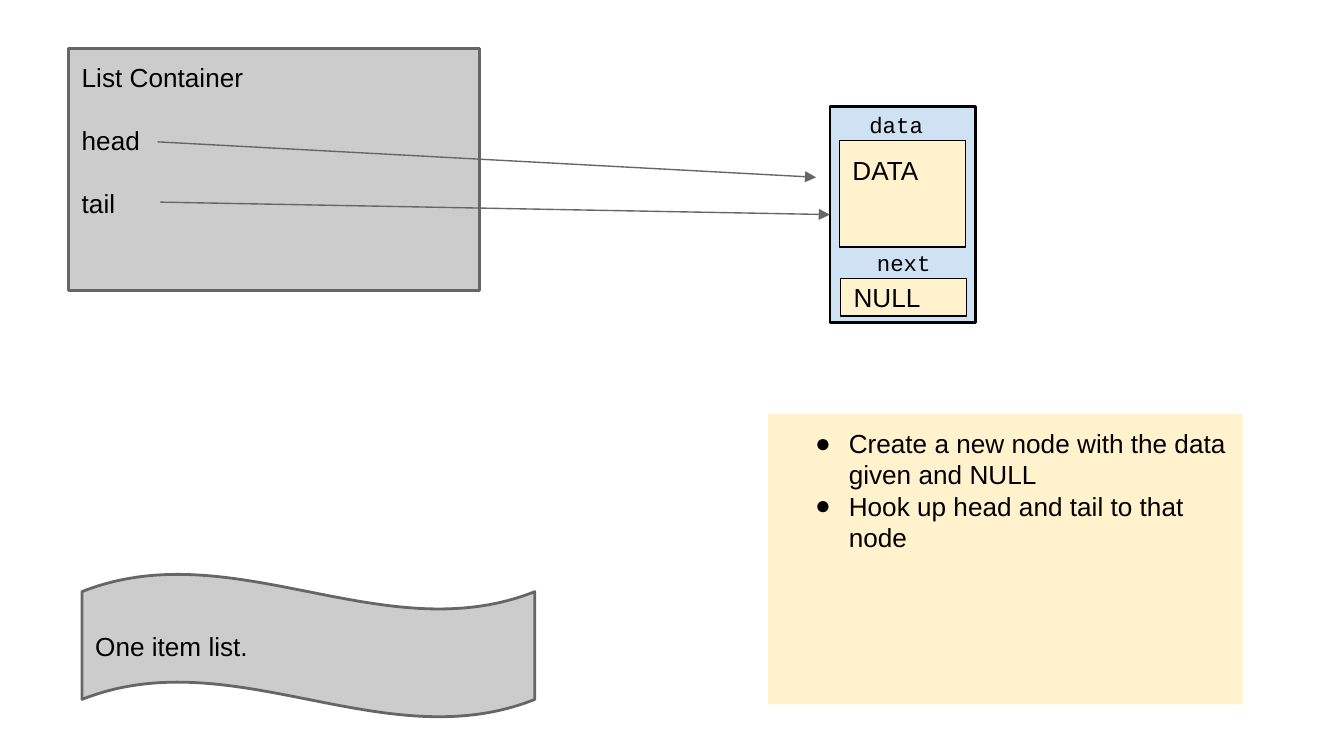
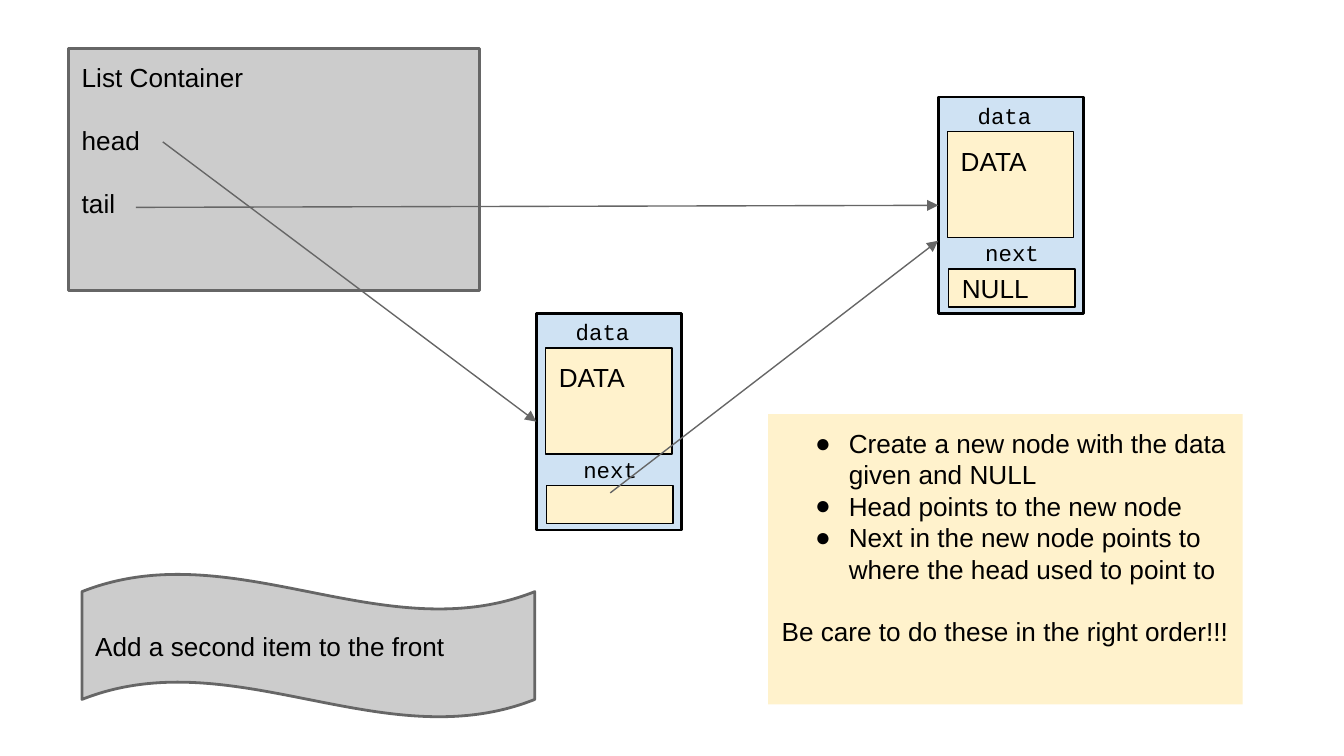
from dataclasses import dataclass

from lxml import etree
from pptx import Presentation
from pptx.dml.color import RGBColor
from pptx.enum.shapes import MSO_CONNECTOR, MSO_SHAPE
from pptx.enum.text import MSO_ANCHOR, MSO_AUTO_SIZE, PP_ALIGN
from pptx.oxml.ns import qn
from pptx.shapes.group import GroupShape
from pptx.slide import Slide
from pptx.text.text import TextFrame
from pptx.util import Pt

RECTANGLE, WAVE = MSO_SHAPE.RECTANGLE, MSO_SHAPE.WAVE
TOP, MIDDLE = MSO_ANCHOR.TOP, MSO_ANCHOR.MIDDLE
LEFT, CENTER = PP_ALIGN.LEFT, PP_ALIGN.CENTER
STRAIGHT = MSO_CONNECTOR.STRAIGHT
NO_AUTOFIT = MSO_AUTO_SIZE.NONE

COLORS = {
    "text": "000000",
    "gray": "CCCCCC",
    "gray_line": "666666",
    "node": "CFE2F3",
    "cream": "FFF2CC",
    "node_line": "000000",
}
BODY_FONT, CODE_FONT = "Arial", "Courier New"
BODY_SIZE, CODE_SIZE = 14, 12
INSET = 7.2
BLANK_LINE = 16.75
THICK, THIN = 1.5, 0.75


@dataclass(frozen=True)
class Box:
    left: float
    top: float
    width: float
    height: float

    def points(self) -> tuple:
        return Pt(self.left), Pt(self.top), Pt(self.width), Pt(self.height)


@dataclass(frozen=True)
class Node:
    left: float
    top: float
    next_value: str = ""

    def inside(self, left: float, top: float, width: float, height: float) -> Box:
        return Box(self.left + left, self.top + top, width, height)


@dataclass(frozen=True)
class Arrow:
    start: tuple[float, float]
    end: tuple[float, float]


@dataclass(frozen=True)
class ListSlide:
    caption: str
    steps: list[str]
    nodes: list[Node]
    arrows: list[Arrow]
    warning: str = ""


CONTAINER = Box(36.7, 25.9, 220.3, 129.6)
CAPTION = Box(43.9, 307.4, 242.6, 77)
STEPS = Box(411.5, 221.8, 254.2, 155.5)


def rgb(name: str) -> RGBColor:
    return RGBColor.from_string(COLORS[name])


def write(frame: TextFrame, lines: list[str], anchor: MSO_ANCHOR = TOP,
          align: PP_ALIGN = LEFT, font: str = BODY_FONT, size: float = BODY_SIZE,
          gap: float = 0) -> None:
    """Fill a frame with paragraphs, with a gap before all but the first."""
    frame.word_wrap = True
    frame.auto_size = NO_AUTOFIT
    frame.vertical_anchor = anchor
    frame.margin_left = frame.margin_right = Pt(INSET)
    frame.margin_top = frame.margin_bottom = Pt(INSET)
    for index, line in enumerate(lines):
        paragraph = frame.paragraphs[0] if index == 0 else frame.add_paragraph()
        paragraph.text = line
        paragraph.alignment = align
        paragraph.space_before = Pt(gap if index else 0)
        paragraph.font.name = font
        paragraph.font.size = Pt(size)
        paragraph.font.color.rgb = rgb("text")


def add_box(parent: Slide | GroupShape, box: Box, fill: str, line: str, weight: float,
            lines: list[str], anchor: MSO_ANCHOR = TOP, gap: float = 0,
            kind: MSO_SHAPE = RECTANGLE) -> None:
    shape = parent.shapes.add_shape(kind, *box.points())
    shape.shadow.inherit = False
    shape.fill.solid()
    shape.fill.fore_color.rgb = rgb(fill)
    shape.line.color.rgb = rgb(line)
    shape.line.width = Pt(weight)
    if lines:
        write(shape.text_frame, lines, anchor, gap=gap)


def add_code_label(group: GroupShape, box: Box, text: str, align: PP_ALIGN) -> None:
    label = group.shapes.add_textbox(*box.points())
    write(label.text_frame, [text], align=align, font=CODE_FONT, size=CODE_SIZE)


def add_node(slide: Slide, node: Node) -> None:
    group = slide.shapes.add_group_shape()
    add_box(group, node.inside(0, 0, 77.8, 115.9), "node", "node_line", THICK, [])
    next_lines = [node.next_value] if node.next_value else []
    add_box(group, node.inside(5.6, 92.2, 67.7, 20.2), "cream", "node_line", THIN,
            next_lines, MIDDLE)
    add_code_label(group, node.inside(14, 69.1, 51.1, 27.4), "next", CENTER)
    add_code_label(group, node.inside(14, -4.6, 51.1, 27.4), "data", LEFT)
    add_box(group, node.inside(5, 18.4, 67.7, 56.9), "cream", "node_line", THIN, ["DATA"])


def add_arrow(slide: Slide, arrow: Arrow) -> None:
    connector = slide.shapes.add_connector(
        STRAIGHT, *(Pt(value) for value in arrow.start + arrow.end))
    connector.line.color.rgb = rgb("gray_line")
    connector.line.width = Pt(THIN)
    etree.SubElement(connector.line._get_or_add_ln(), qn("a:tailEnd"), type="triangle")
    etree.SubElement(connector._element.spPr, qn("a:effectLst"))


def set_bullet(properties: etree._Element, bulleted: bool) -> None:
    properties.set("marL", str(Pt(36) if bulleted else 0))
    properties.set("indent", str(Pt(-18) if bulleted else 0))
    if bulleted:
        bullets = [etree.Element(qn("a:buFont"), typeface=BODY_FONT),
                   etree.Element(qn("a:buChar"), char="●")]
    else:
        bullets = [etree.Element(qn("a:buNone"))]
    run_defaults = properties.find(qn("a:defRPr"))
    for bullet in bullets:
        run_defaults.addprevious(bullet)


def add_steps(slide: Slide, steps: list[str], warning: str) -> None:
    body = slide.placeholders[1]
    body.left, body.top, body.width, body.height = STEPS.points()
    body.fill.solid()
    body.fill.fore_color.rgb = rgb("cream")
    write(body.text_frame, steps + ([warning] if warning else []))
    for index, paragraph in enumerate(body.text_frame.paragraphs):
        bulleted = index < len(steps)
        set_bullet(paragraph._p.get_or_add_pPr(), bulleted)
        if not bulleted:
            paragraph.space_before = Pt(BLANK_LINE)


def add_list_slide(presentation: Presentation, content: ListSlide) -> None:
    slide = presentation.slides.add_slide(presentation.slide_layouts[1])
    title = slide.shapes.title._element
    title.getparent().remove(title)
    add_box(slide, CONTAINER, "gray", "gray_line", THICK,
            ["List Container", "head", "tail"], gap=BLANK_LINE)
    add_box(slide, CAPTION, "gray", "gray_line", THICK, [content.caption], MIDDLE, kind=WAVE)
    add_steps(slide, content.steps, content.warning)
    for node in content.nodes:
        add_node(slide, node)
    for arrow in content.arrows:
        add_arrow(slide, arrow)


# Content of the two slides
CREATE_STEP = "Create a new node with the data given and NULL"
SLIDES = [
    ListSlide(
        caption="One item list.",
        steps=[CREATE_STEP, "Hook up head and tail to that node"],
        nodes=[Node(444.6, 57, "NULL")],
        arrows=[Arrow((84.5, 76), (437.2, 95)), Arrow((85.9, 108.3), (444.6, 115))],
    ),
    ListSlide(
        caption="Add a second item to the front",
        steps=[CREATE_STEP, "Head points to the new node",
               "Next in the new node points to where the head used to point to"],
        warning="Be care to do these in the right order!!!",
        nodes=[Node(502.6, 52, "NULL"), Node(287.3, 168)],
        arrows=[Arrow((72.8, 111.1), (502.6, 110)), Arrow((87.2, 76), (287.3, 225.9)),
                Arrow((326.9, 264.1), (502.6, 129))],
    ),
]

# Build and save
presentation = Presentation()
presentation.slide_width, presentation.slide_height = Pt(720), Pt(405)
for content in SLIDES:
    add_list_slide(presentation, content)
presentation.save("out.pptx")
